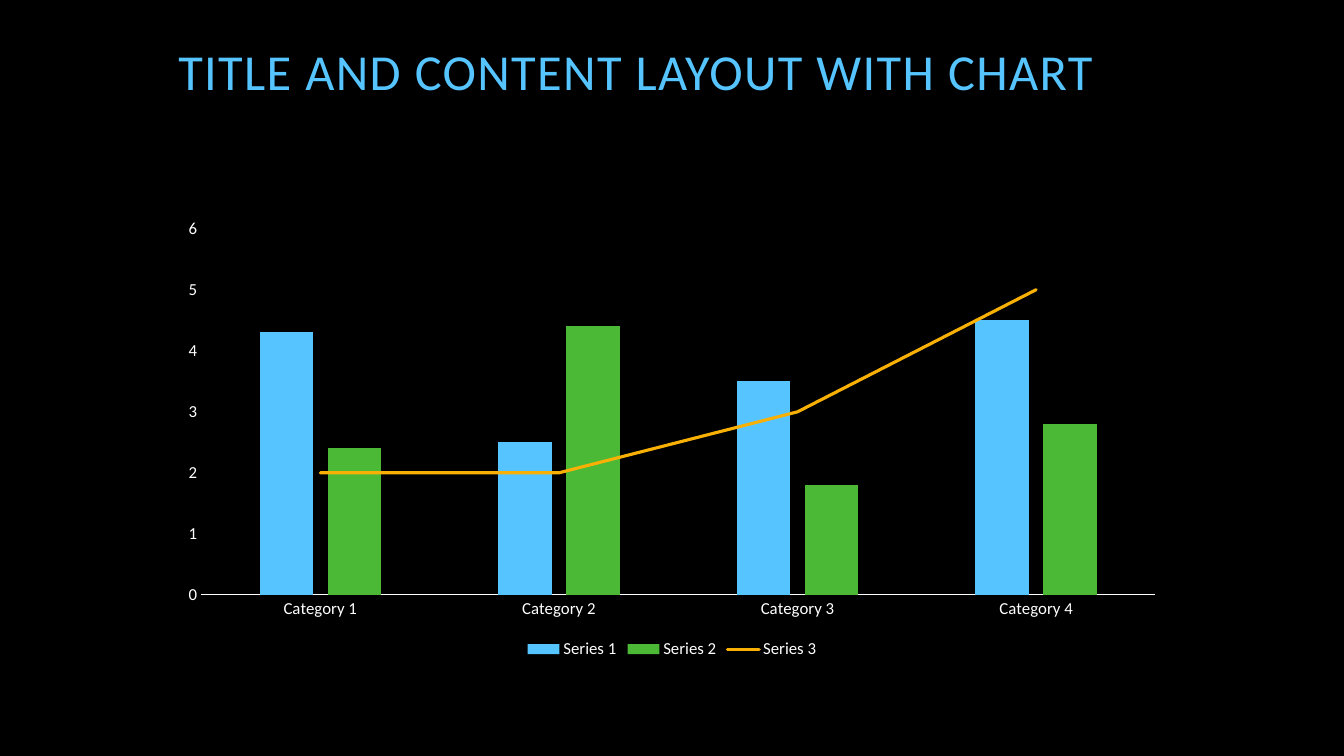
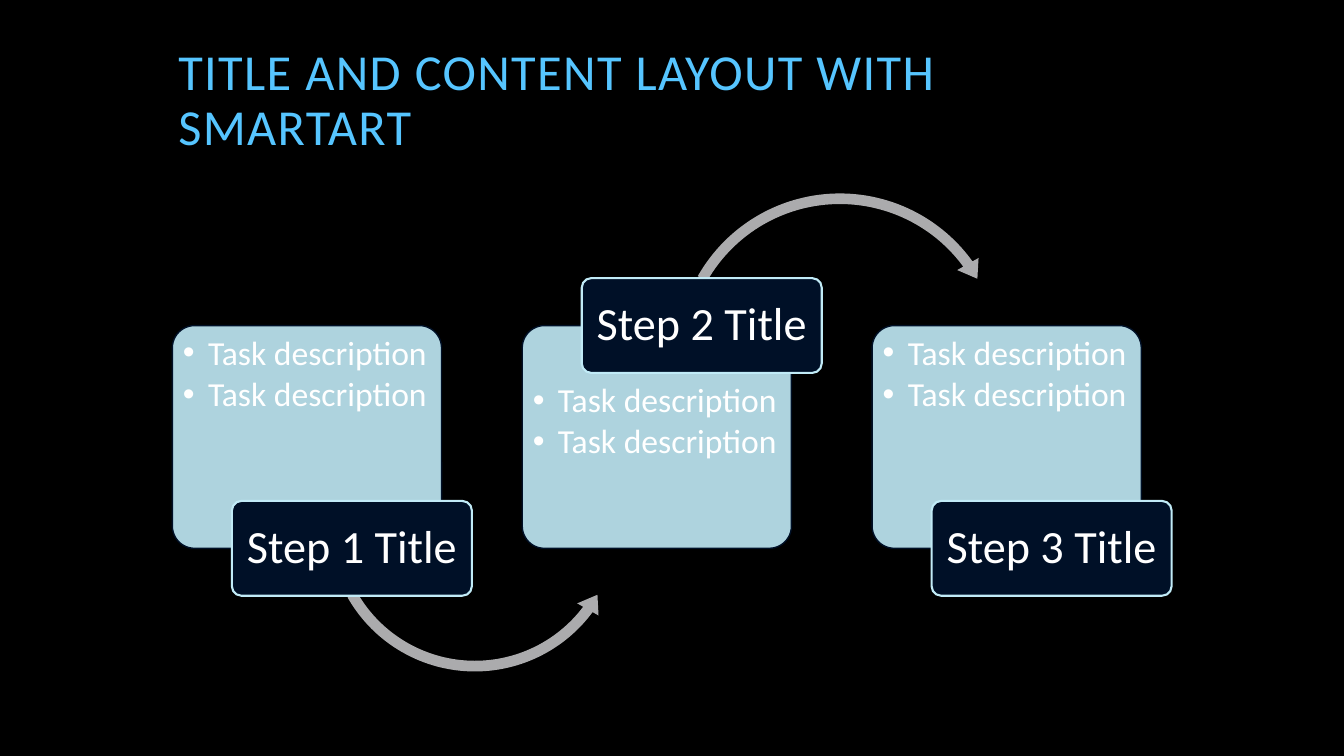
from dataclasses import dataclass
from typing import Optional

from lxml.etree import SubElement
from pptx import Presentation
from pptx.chart.data import CategoryChartData
from pptx.dml.color import RGBColor
from pptx.enum.chart import (XL_CHART_TYPE, XL_LEGEND_POSITION,
                             XL_MARKER_STYLE, XL_TICK_MARK)
from pptx.enum.shapes import MSO_SHAPE
from pptx.enum.text import MSO_ANCHOR, PP_ALIGN
from pptx.oxml import parse_xml
from pptx.oxml.ns import nsdecls, qn
from pptx.util import Pt

SCALE = 9144  # EMU in one px, 100 px to the inch
FONT = "Calibri"
COLORS = {
    "back": "000000", "text": "FFFFFF", "sky": "56C5FF", "green": "4BB836",
    "gold": "F8B004", "ice": "C1EBF7", "navy": "001027", "gray": "ABABAD",
}


@dataclass
class Box:
    left: int
    top: int
    width: int
    height: int

    def emu(self) -> list[int]:
        return [n * SCALE for n in (self.left, self.top, self.width, self.height)]


@dataclass
class Arrow:
    kind: MSO_SHAPE
    box: Box
    adjust: tuple


@dataclass
class Step:
    title: str
    raised: bool = False
    arrow: Optional[Arrow] = None


@dataclass
class Series:
    name: str
    color: str
    values: tuple


TITLE = Box(167, 42, 1000, 150)
CHART = Box(167, 208, 999, 450)
CARD = Box(171, 323, 267, 221)
PITCH = 347
LABEL_SHIFT = 59
LABEL_SIZE = (238, 94)
TASKS = ["Task description"] * 2

CATEGORIES = [f"Category {n}" for n in range(1, 5)]
SERIES = [
    Series("Series 1", "sky", (4.3, 2.5, 3.5, 4.5)),
    Series("Series 2", "green", (2.4, 4.4, 1.8, 2.8)),
    Series("Series 3", "gold", (2, 2, 3, 5)),
]
STEPS = [
    Step("Step 1 Title", arrow=Arrow(
        MSO_SHAPE.LEFT_CIRCULAR_ARROW, Box(319, 369, 304, 304),
        (0.035, 4.277, 22.032, 90.245, 0.04))),
    Step("Step 2 Title", raised=True, arrow=Arrow(
        MSO_SHAPE.CIRCULAR_ARROW, Box(664, 185, 338, 338),
        (0.031, 3.813, 194.431, 125.755, 0.036))),
    Step("Step 3 Title"),
]


def rgb(name: str) -> RGBColor:
    return RGBColor.from_string(COLORS[name])


def style(font, size: int, color: str) -> None:
    font.name, font.size = FONT, Pt(size)
    font.color.rgb = rgb(color)


def paint(target, color: str) -> None:
    target.fill.solid()
    target.fill.fore_color.rgb = rgb(color)


def write(para, text: str, size: int, color: str):
    """Add one run to a paragraph with tight line spacing."""
    para.line_spacing = 0.9
    run = para.add_run()
    run.text = text
    style(run.font, size, color)
    return run


def inset(frame, side: int, top: int, foot: int) -> None:
    frame.word_wrap = True
    frame.margin_left = frame.margin_right = side * SCALE
    frame.margin_top, frame.margin_bottom = top * SCALE, foot * SCALE


def add_slide(deck, title: str):
    """Add a black slide with its title."""
    slide = deck.slides.add_slide(deck.slide_layouts[6])
    paint(slide.background, "back")
    frame = slide.shapes.add_textbox(*TITLE.emu()).text_frame
    inset(frame, 10, 5, 5)
    run = write(frame.paragraphs[0], title, 36, "sky")
    run.font._element.set("spc", "100")
    return slide


def add_shape(slide, kind: MSO_SHAPE, box: Box, adjust: tuple, fill: str):
    shape = slide.shapes.add_shape(kind, *box.emu())
    shape.shadow.inherit = False
    for i, value in enumerate(adjust):
        shape.adjustments[i] = value
    paint(shape, fill)
    shape.line.fill.background()
    return shape


def add_panel(slide, box: Box, fill: str, edge: str, width: float):
    """Add a rounded, outlined panel."""
    shape = add_shape(slide, MSO_SHAPE.ROUNDED_RECTANGLE, box, (0.1,), fill)
    shape.line.color.rgb = rgb(edge)
    shape.line.width = Pt(width)
    return shape


def add_card(slide, box: Box, drop: int) -> None:
    """Add a task list; drop lowers its text."""
    card = add_panel(slide, box, "ice", "navy", 1)
    tint = card._element.spPr.find(qn("a:solidFill"))[0]
    SubElement(tint, qn("a:alpha"), val="90000")
    frame = card.text_frame
    frame.vertical_anchor = MSO_ANCHOR.TOP
    inset(frame, 4, 4 + drop, 4)
    for i, task in enumerate(TASKS):
        para = frame.add_paragraph() if i else frame.paragraphs[0]
        para.alignment = PP_ALIGN.LEFT
        para.space_after = Pt(3.6)
        write(para, task, 24, "text")
        props = para._p.get_or_add_pPr()
        props.set("marL", str(25 * SCALE))
        props.set("indent", str(-25 * SCALE))
        SubElement(props, qn("a:buFont"), typeface="Arial")
        SubElement(props, qn("a:buChar"), char="•")


def add_label(slide, box: Box, text: str) -> None:
    label = add_panel(slide, box, "navy", "ice", 1.5)
    frame = label.text_frame
    frame.vertical_anchor = MSO_ANCHOR.MIDDLE
    inset(frame, 7, 5, 5)
    para = frame.paragraphs[0]
    para.alignment = PP_ALIGN.CENTER
    write(para, text, 33, "text")


def add_steps(slide) -> None:
    for i, step in enumerate(STEPS):
        left = CARD.left + i * PITCH
        add_card(slide, Box(left, CARD.top, CARD.width, CARD.height),
                 47 if step.raised else 0)
        if step.arrow:
            add_shape(slide, step.arrow.kind, step.arrow.box,
                      step.arrow.adjust, "gray")
        mid = CARD.top if step.raised else CARD.top + CARD.height
        top = mid - LABEL_SIZE[1] // 2
        add_label(slide, Box(left + LABEL_SHIFT, top, *LABEL_SIZE), step.title)


def split_line(chart) -> None:
    """Move the last bar series to a line plot on the same axes."""
    bars = chart.plots[0]._element
    last = bars.findall(qn("c:ser"))[-1]
    for flag in last.findall(qn("c:invertIfNegative")):
        last.remove(flag)
    plot = parse_xml(
        f'<c:lineChart {nsdecls("c")}><c:grouping val="standard"/>'
        '<c:varyColors val="0"/><c:marker val="1"/></c:lineChart>')
    plot.insert(2, last)
    for axis in bars.findall(qn("c:axId")):
        SubElement(plot, qn("c:axId"), val=axis.get("val"))
    bars.addnext(plot)


def style_axes(chart) -> None:
    for axis in (chart.category_axis, chart.value_axis):
        axis.has_major_gridlines = False
        axis.major_tick_mark = axis.minor_tick_mark = XL_TICK_MARK.NONE
        style(axis.tick_labels.font, 12, "text")
    base = chart.category_axis.format.line
    base.color.rgb, base.width = rgb("text"), Pt(0.75)
    scale = chart.value_axis
    scale.format.line.fill.background()
    scale.minimum_scale, scale.maximum_scale, scale.major_unit = 0, 6, 1


def add_chart(slide) -> None:
    data = CategoryChartData()
    data.categories = CATEGORIES
    for item in SERIES:
        data.add_series(item.name, item.values)
    chart = slide.shapes.add_chart(
        XL_CHART_TYPE.COLUMN_CLUSTERED, *CHART.emu(), data).chart
    chart.has_title = False
    style(chart.font, 10, "text")
    split_line(chart)
    bars, lines = chart.plots
    bars.vary_by_categories = False
    bars.gap_width, bars.overlap = 219, -27
    for item, bar in zip(SERIES, bars.series):
        paint(bar.format, item.color)
    trend = lines.series[0]
    trend.smooth = False
    trend.marker.style = XL_MARKER_STYLE.NONE
    trend.format.line.color.rgb = rgb(SERIES[-1].color)
    trend.format.line.width = Pt(2.25)
    for stroke in trend._element.iterfind(f'{qn("c:spPr")}/{qn("a:ln")}'):
        stroke.set("cap", "rnd")
    style_axes(chart)
    chart.has_legend = True
    chart.legend.position = XL_LEGEND_POSITION.BOTTOM
    chart.legend.include_in_layout = False
    style(chart.legend.font, 12, "text")


def main() -> None:
    deck = Presentation()
    deck.slide_width, deck.slide_height = 1333 * SCALE, 750 * SCALE
    add_chart(add_slide(deck, "TITLE AND CONTENT LAYOUT WITH CHART"))
    add_steps(add_slide(deck, "TITLE AND CONTENT LAYOUT WITH SMARTART"))
    deck.save("out.pptx")


if __name__ == "__main__":
    main()
